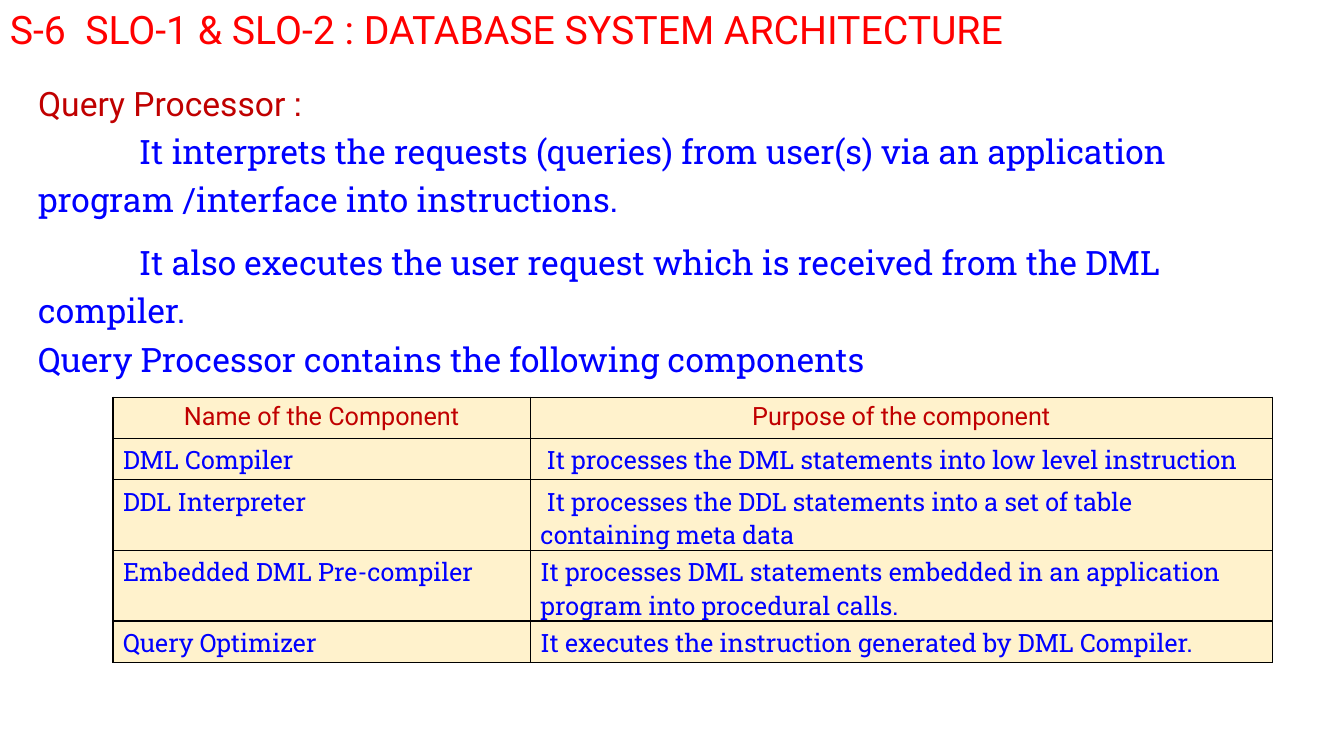
import pptx
import pptx.dml.color
import pptx.enum.text
import pptx.oxml
import pptx.oxml.ns
import pptx.util
from pptx.util import Inches

RED = pptx.dml.color.RGBColor(0xFF, 0x00, 0x00)
DARK_RED = pptx.dml.color.RGBColor(0xC0, 0x00, 0x00)
BLUE = pptx.dml.color.RGBColor(0x00, 0x00, 0xFF)
CREAM = pptx.dml.color.RGBColor(0xFF, 0xF2, 0xCC)
SANS, SLAB = "Roboto", "Roboto Slab"

TITLE = "S-6  SLO-1 & SLO-2 : DATABASE SYSTEM ARCHITECTURE"
# Each paragraph: runs of (text, font, colour), first-line indent, space before
BODY = [
    ([("Query Processor ", SANS, DARK_RED), (":", SLAB, DARK_RED)], 0, 0),
    ([("It interprets the requests (queries) from user(s) via an application "
       "program /interface into instructions.", SLAB, BLUE)], 1, 0),
    ([("It also executes the user request which is received from the DML "
       "compiler.", SLAB, BLUE)], 1, 10),
    ([("Query Processor contains the following components", SLAB, BLUE)], 0, 0),
]
COMPONENTS = [
    ("Name of the Component", "Purpose of the component"),
    ("DML Compiler",
     " It processes the DML statements into low level instruction"),
    ("DDL Interpreter",
     " It processes the DDL statements into a set of table containing meta data"),
    ("Embedded DML Pre-compiler",
     "It processes DML statements embedded in an application program into "
     "procedural calls."),
    ("Query Optimizer",
     "It executes the instruction generated by DML Compiler."),
]
COLUMN_WIDTHS = (4.14, 7.36)
ROW_HEIGHT = 0.41


def add_span(para, text, size, font, colour):
    span = para.add_run()
    span.text = text
    span.font.size = pptx.util.Pt(size)
    span.font.name = font
    span.font.color.rgb = colour


def add_box(slide, left, top, width, height):
    box = slide.shapes.add_textbox(
        Inches(left), Inches(top), Inches(width), Inches(height))
    box.text_frame.word_wrap = True
    return box.text_frame


def style_cell(cell):
    """Fill the cell and draw a thin black line on all four sides."""
    properties = cell._tc.get_or_add_tcPr()
    for side in ("lnL", "lnR", "lnT", "lnB"):
        properties.append(pptx.oxml.parse_xml(
            f'<a:{side} {pptx.oxml.ns.nsdecls("a")} w="12700"><a:solidFill>'
            f'<a:srgbClr val="000000"/></a:solidFill></a:{side}>'))
    cell.fill.solid()
    cell.fill.fore_color.rgb = CREAM


def add_components(slide):
    table = slide.shapes.add_table(
        len(COMPONENTS), len(COLUMN_WIDTHS), Inches(1.12), Inches(3.94),
        Inches(sum(COLUMN_WIDTHS)), Inches(ROW_HEIGHT * len(COMPONENTS))).table
    table.first_row = False
    table.horz_banding = False
    for column, width in zip(table.columns, COLUMN_WIDTHS):
        column.width = Inches(width)
    for row_number, texts in enumerate(COMPONENTS):
        table.rows[row_number].height = Inches(ROW_HEIGHT)
        for column_number, text in enumerate(texts):
            cell = table.cell(row_number, column_number)
            style_cell(cell)
            para = cell.text_frame.paragraphs[0]
            if row_number == 0:
                para.alignment = pptx.enum.text.PP_ALIGN.CENTER
                add_span(para, text, 18, SANS, DARK_RED)
            else:
                add_span(para, text, 18, SLAB, BLUE)


def main():
    deck = pptx.Presentation()
    deck.slide_width, deck.slide_height = Inches(13.33), Inches(7.5)
    slide = deck.slides.add_slide(deck.slide_layouts[6])

    body = add_box(slide, 0.28, 0.69, 12.51, 3.23)
    for number, (spans, indent, space_before) in enumerate(BODY):
        para = body.add_paragraph() if number else body.paragraphs[0]
        para.line_spacing = 1.2
        if space_before:
            para.space_before = pptx.util.Pt(space_before)
        if indent:
            para._p.get_or_add_pPr().set("indent", str(Inches(indent)))
        for text, font, colour in spans:
            add_span(para, text, 24, font, colour)

    title = add_box(slide, 0, 0, 12, 0.57)
    add_span(title.paragraphs[0], TITLE, 28, SANS, RED)
    add_components(slide)
    deck.save("out.pptx")


if __name__ == "__main__":
    main()
